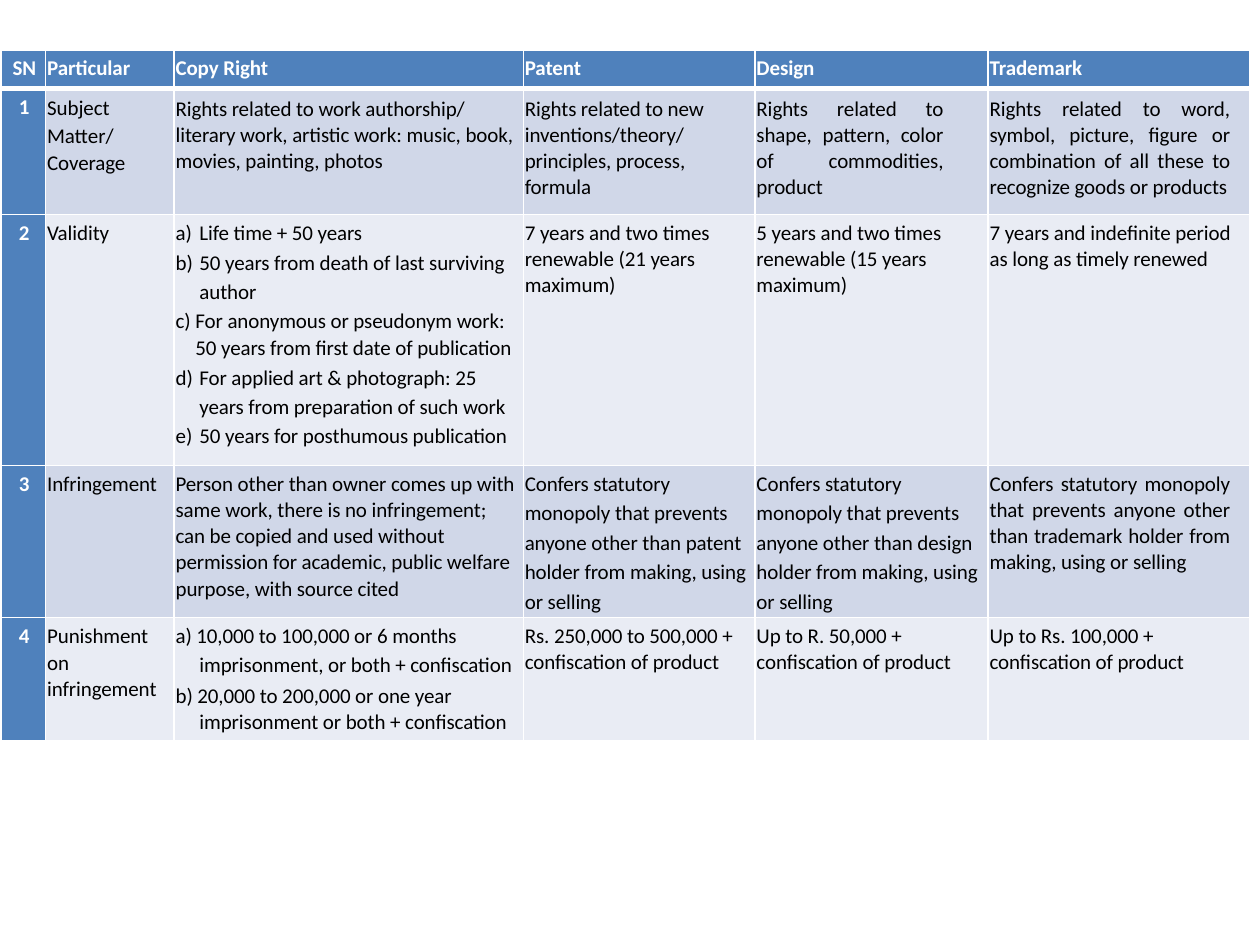
from dataclasses import dataclass

from lxml.etree import SubElement
from pptx import Presentation
from pptx.dml.color import RGBColor
from pptx.enum.text import PP_ALIGN
from pptx.oxml.ns import qn
from pptx.util import Cm, Pt

HEX = {"head": "4F81BC", "dark": "D0D7E8", "light": "E9ECF4",
       "white": "FFFFFF", "black": "000000"}
WIDE = (0.89, 2.59, 7.04, 4.67, 4.7, 5.28)
HIGH = (0.76, 2.54, 5.06, 3.07, 2.49)
HANG = 0.48


@dataclass
class Para:
    text: str
    before: float = 3.4
    line: float | None = None
    left: float = 0.03
    hang: float = 0
    auto: bool = False


@dataclass
class Entry:
    paras: list[Para]
    top: float = 0.12
    right: float = 0.1
    align: PP_ALIGN = PP_ALIGN.LEFT


def plain(text: str, before: float = 3.2, line: float | None = 1.02,
          **keys) -> Entry:
    return Entry([Para(text, before, line)], **keys)


def item(text: str, before: float, line: float | None = None,
         left: float = 0.51, auto: bool = True) -> Para:
    return Para(text, before, line, left, min(HANG, left - 0.03), auto)


def blocked(text: str, **keys) -> Entry:
    return plain(text, align=PP_ALIGN.JUSTIFY, **keys)


def monopoly(kind: str) -> Entry:
    return plain(f"Confers statutory monopoly that prevents anyone other than "
                 f"{kind} holder from making, using or selling",
                 1.4, 1.15, top=0.05)


def fine(text: str) -> Entry:
    return Entry([Para(text), Para("confiscation of product", 0.2)])


HEADS = ["SN", "Particular", "Copy Right", "Patent", "Design", "Trademark"]
ROWS = [
    [
        blocked("Subject Matter/ Coverage", before=3.4, line=1.07, right=0.76),
        plain("Rights related to work authorship/ literary work, artistic work: "
              "music, book, movies, painting, photos", 4.2, top=0.15),
        plain("Rights related to new inventions/theory/ principles, process, "
              "formula", 4.1, top=0.15),
        blocked("Rights related to shape, pattern, color of commodities, product",
                before=4.2, top=0.15, right=0.9),
        blocked("Rights related to word, symbol, picture, figure or combination "
                "of all these to recognize goods or products",
                before=4.1, top=0.15, right=0.4),
    ],
    [
        plain("Validity", 3.5, None),
        Entry([
            item("Life time + 50 years", 3.5),
            item("50 years from death of last surviving author", 0.5, Pt(16.7)),
            item("For anonymous or pseudonym work: 50 years from first date of "
                 "publication", 0.8, 1.07, 0.43),
            item("For applied art & photograph: 25 years from preparation of "
                 "such work", 0.6, Pt(16.6)),
            item("50 years for posthumous publication", 1.9),
        ]),
        plain("7 years and two times renewable (21 years maximum)"),
        plain("5 years and two times renewable (15 years maximum)"),
        plain("7 years and indefinite period as long as timely renewed"),
    ],
    [
        plain("Infringement", 3.5, None),
        plain("Person other than owner comes up with same work, there is no "
              "infringement; can be copied and used without permission for "
              "academic, public welfare purpose, with source cited"),
        monopoly("patent"),
        monopoly("design"),
        blocked("Confers statutory monopoly that prevents anyone other than "
                "trademark holder from making, using or selling", right=0.4),
    ],
    [
        plain("Punishment on infringement", 3.1, right=0.25),
        Entry([
            item("a) 10,000 to 100,000 or 6 months imprisonment, or both + "
                 "confiscation", 1.1, 1.16, auto=False),
            item("b) 20,000 to 200,000 or one year imprisonment or both + "
                 "confiscation", 2.7, 1.02, auto=False),
        ], top=0.03),
        fine("Rs. 250,000 to 500,000 +"),
        fine("Up to R. 50,000 +"),
        fine("Up to Rs. 100,000 +"),
    ],
]


def write(para, text: str, *, color: str, bold: bool = False,
          align=PP_ALIGN.LEFT, before: float = 0, line=None) -> None:
    para.alignment = align
    para.space_before = Pt(before)
    if line:
        para.line_spacing = line
    run = para.add_run()
    run.text = text
    font = run.font
    font.name, font.size, font.bold = "Calibri", Pt(12), bold
    font.color.rgb = RGBColor.from_string(HEX[color])
    run._r.get_or_add_rPr().set("spc", "-5")


def indent(para, item: Para) -> None:
    props = para._p.get_or_add_pPr()
    props.set("marL", str(Cm(item.left)))
    props.set("indent", str(-Cm(item.hang)))
    if item.auto:
        SubElement(props, qn("a:buAutoNum"), type="alphaLcParenR")


def edge(cell, top: float, base: float) -> None:
    props = cell._tc.get_or_add_tcPr()
    sides = {"lnL": 1, "lnR": 1, "lnT": top, "lnB": base}
    for spot, (side, width) in enumerate(sides.items()):
        line = SubElement(props, qn(f"a:{side}"), w=str(Pt(width)))
        fill = SubElement(line, qn("a:solidFill"))
        SubElement(fill, qn("a:srgbClr"), val=HEX["white"])
        props.insert(spot, line)


def draw(cell, entry: Entry, row: int, fill: str, strong: bool) -> None:
    cell.margin_left = cell.margin_bottom = Cm(0)
    cell.margin_top, cell.margin_right = Cm(entry.top), Cm(entry.right)
    cell.fill.solid()
    cell.fill.fore_color.rgb = RGBColor.from_string(HEX[fill])
    edge(cell, 3 if row == 1 else 1, 3 if row == 0 else 1)
    frame = cell.text_frame
    for spot, part in enumerate(entry.paras):
        para = frame.add_paragraph() if spot else frame.paragraphs[0]
        write(para, part.text, color="white" if strong else "black",
              bold=strong, align=entry.align, before=part.before,
              line=part.line)
        indent(para, part)


def main() -> None:
    deck = Presentation()
    deck.slide_width, deck.slide_height = Cm(25.4), Cm(19.05)
    slide = deck.slides.add_slide(deck.slide_layouts[6])
    grid = slide.shapes.add_table(len(HIGH), len(WIDE), Cm(0.03), Cm(1.02),
                                  Cm(sum(WIDE)), Cm(sum(HIGH))).table
    grid.horz_banding = False
    for col, width in zip(grid.columns, WIDE):
        col.width = Cm(width)
    for row, height in zip(grid.rows, HIGH):
        row.height = Cm(height)

    heads = [plain(text, 2.9, None, top=0.1) for text in HEADS]
    heads[0].align, heads[0].right = PP_ALIGN.CENTER, 0
    body = [[plain(str(num), 3.5, None, right=0, align=PP_ALIGN.CENTER), *row]
            for num, row in enumerate(ROWS, 1)]
    for row, line in enumerate([heads, *body]):
        for col, entry in enumerate(line):
            strong = row == 0 or col == 0
            fill = "head" if strong else ("light", "dark")[row % 2]
            draw(grid.cell(row, col), entry, row, fill, strong)
    deck.save("out.pptx")


if __name__ == "__main__":
    main()
